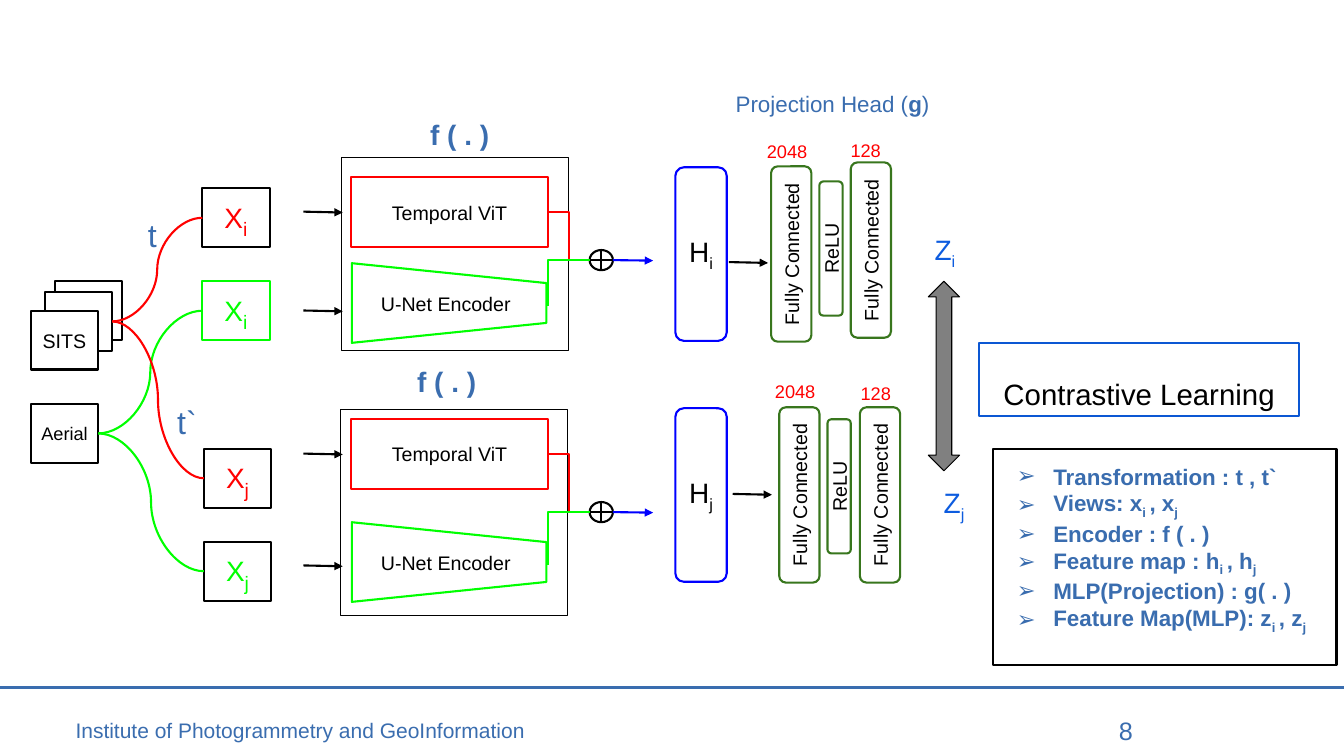
from lxml.etree import SubElement
from pptx import Presentation
from pptx.dml.color import RGBColor
from pptx.enum.shapes import MSO_CONNECTOR, MSO_SHAPE
from pptx.enum.text import MSO_ANCHOR, MSO_AUTO_SIZE, PP_ALIGN
from pptx.oxml.ns import qn
from pptx.util import Pt

BLACK = RGBColor(0x00, 0x00, 0x00)
WHITE = RGBColor(0xFF, 0xFF, 0xFF)
RED = RGBColor(0xFF, 0x00, 0x00)
LIME = RGBColor(0x00, 0xFF, 0x00)
BLUE = RGBColor(0x00, 0x00, 0xFF)
GREEN = RGBColor(0x38, 0x76, 0x1D)
GRAY = RGBColor(0x80, 0x80, 0x80)
STEEL = RGBColor(0x3A, 0x6D, 0xAF)
AZURE = RGBColor(0x0C, 0x57, 0xD3)
SKY = RGBColor(0x0D, 0x5C, 0xDF)

LEGEND = [
    "Transformation : t , t`",
    "Views: x_i _, x_j_",
    "Encoder : f ( . )",
    "Feature map : h_i _, h_j_",
    "MLP(Projection) : g( . )",
    "Feature Map(MLP): z_i _, z_j_",
]


def write(para, text, size=14, color=BLACK, bold=False, align=PP_ALIGN.CENTER,
          sub=None, strong=False, space=None):
    """Fill a paragraph; parts between underscores are subscript, or bold if strong."""
    para.alignment = align
    para.space_before = Pt(0)
    if space:
        para.line_spacing = space
    for i, part in enumerate(text.split("_")):
        if not part:
            continue
        run = para.add_run()
        run.text = part
        font = run.font
        font.name, font.size, font.bold = "Arial", Pt(size), bold
        font.color.rgb = color
        if i % 2 and strong:
            font.bold = True
        elif i % 2:
            font.size = Pt(sub or size)
            run._r.get_or_add_rPr().set("baseline", "-25000")


def setup(frame, anchor, pad=7.2, low=None):
    frame.word_wrap = True
    frame.auto_size = MSO_AUTO_SIZE.NONE
    frame.vertical_anchor = anchor
    frame.margin_left = frame.margin_right = frame.margin_top = Pt(pad)
    frame.margin_bottom = Pt(pad if low is None else low)


def label(slide, text, x, y, w, h, pad=7.2, **form):
    box = slide.shapes.add_textbox(Pt(x), Pt(y), Pt(w), Pt(h))
    setup(box.text_frame, MSO_ANCHOR.TOP, pad)
    write(box.text_frame.paragraphs[0], text, **form)


def block(slide, x, y, w, h, line=BLACK, text="", kind=MSO_SHAPE.RECTANGLE,
          fill=WHITE, width=1.5, turn=0, anchor=MSO_ANCHOR.MIDDLE, low=None, **form):
    """Place a shape by its visible frame, also when it is turned by 90 degrees."""
    if turn:
        x, y, w, h = x + (w - h) / 2, y + (h - w) / 2, h, w
    shape = slide.shapes.add_shape(kind, Pt(x), Pt(y), Pt(w), Pt(h))
    shape.rotation = turn
    shape.shadow.inherit = False
    shape.fill.solid()
    shape.fill.fore_color.rgb = fill
    shape.line.color.rgb = line
    shape.line.width = Pt(width)
    if text:
        setup(shape.text_frame, anchor, low=low)
        write(shape.text_frame.paragraphs[0], text, **form)
    return shape


def link(slide, x1, y1, x2, y2, color=BLACK, kind=MSO_CONNECTOR.STRAIGHT,
         width=1.5, head=False):
    line = slide.shapes.add_connector(kind, Pt(x1), Pt(y1), Pt(x2), Pt(y2))
    line.line.color.rgb = color
    line.line.width = Pt(width)
    if head:
        SubElement(line.line._get_or_add_ln(), qn("a:tailEnd"), type="triangle")
    SubElement(line.element.spPr, qn("a:effectLst"))
    return line


def curve(slide, start, end, color):
    line = link(slide, 0, 0, 10, 10, color, MSO_CONNECTOR.CURVE)
    line.begin_connect(start, 3)
    line.end_connect(end, 1)


def corner(slide, x1, y1, x2, y2, color):
    """Line that goes up from its start, then right to its end."""
    w, h = y1 - y2, x2 - x1
    x, y = (x1 + x2 - w) / 2, (y1 + y2 - h) / 2
    line = link(slide, x, y, x + w, y + h, color, MSO_CONNECTOR.ELBOW)
    line.element.spPr.find(qn("a:prstGeom")).set("prst", "bentConnector2")
    line.element.spPr.find(qn("a:xfrm")).set("rot", "16200000")


def legend(slide):
    slide.shapes.title.element.getparent().remove(slide.shapes.title.element)
    body = slide.placeholders[1]
    body.left, body.top, body.width, body.height = Pt(709.2), Pt(320.4), Pt(245.5), Pt(154.8)
    body.fill.solid()
    body.fill.fore_color.rgb = WHITE
    body.line.color.rgb = BLACK
    body.line.width = Pt(1.5)
    frame = body.text_frame
    setup(frame, MSO_ANCHOR.TOP)
    for i, text in enumerate(LEGEND):
        para = frame.add_paragraph() if i else frame.paragraphs[0]
        props = para._p.get_or_add_pPr()
        props.set("marL", str(Pt(36)))
        props.set("indent", str(Pt(-26)))
        tint = SubElement(props, qn("a:buClr"))
        SubElement(tint, qn("a:srgbClr"), val=str(STEEL))
        SubElement(props, qn("a:buFont"), typeface="Arial")
        SubElement(props, qn("a:buChar"), char="➢")
        write(para, text, size=16, color=STEEL, bold=True, align=PP_ALIGN.LEFT,
              space=1 if i else 1.15)


def inputs(slide):
    views = [block(slide, x, y, 48.2, 42, line, f"X_{name}_", size=20, sub=24, color=color)
             for x, y, line, name, color in (
                 (144.5, 134.6, BLACK, "i", RED), (144.5, 201, LIME, "i", LIME),
                 (145.6, 320.6, BLACK, "j", RED), (145.6, 387, BLACK, "j", LIME))]
    sheets = [block(slide, x, y, 48.2, 42, text=text)
              for x, y, text in ((39.2, 201, ""), (31.9, 208.6, ""), (22, 222, "SITS"))]
    aerial = block(slide, 22, 288.6, 48.2, 42, text="Aerial", size=13)
    for i, view in enumerate(views):
        curve(slide, aerial if i % 2 else sheets[1], view, LIME if i % 2 else RED)
    for text, x, y in (("t", 98.6, 146.9), ("t`", 119.5, 280)):
        label(slide, text, x, y, 30, 16.6, size=23, color=STEEL, align=PP_ALIGN.LEFT)


def encoder(slide, x, top, high, vit, net, hub, title, entry):
    """Framed pair of encoders whose outputs meet in a sum sign."""
    block(slide, x, top, 162, high, width=0.75)
    label(slide, "f ( . )", *title, 60.5, 36.7, size=20, color=STEEL, bold=True,
          align=PP_ALIGN.LEFT, space=1.15)
    view = block(slide, 250.6, vit, 141.1, 49.7, RED, "Temporal ViT")
    block(slide, 421.2, hub - 7.2, 16.6, 14.4, kind=MSO_SHAPE.FLOWCHART_OR)
    bend = link(slide, 391.7, vit + 24.8, 421.2, hub, RED, MSO_CONNECTOR.ELBOW)
    bend.begin_connect(view, 3)
    corner(slide, 391.3, net + 2, 421.2, hub, LIME)
    link(slide, 437.8, hub, 466.5, hub + 0.4, BLUE, head=True)
    block(slide, 251.3, net - 28.4, 139, 56.9, LIME, kind=MSO_SHAPE.TRAPEZOID, turn=90)
    label(slide, "U-Net Encoder", 262, net - 15, 113, 26)
    for y in entry:
        link(slide, 216.7, y, 244.8, y + 0.6, head=True)


def project(slide, name, top, arrow, layers, sizes):
    """Feature vector, then the layers of the projection head."""
    block(slide, 482.4, top, 36.7, 124, BLUE, f"H_{name}_",
          kind=MSO_SHAPE.ROUNDED_RECTANGLE, size=20)
    x, y = arrow
    link(slide, x, y, x + 28, y + 0.6, head=True)
    for text, mid, y, w, h in layers:
        block(slide, mid - w / 2, y - h / 2, w, h, GREEN, text,
              kind=MSO_SHAPE.ROUNDED_RECTANGLE, turn=270)
    for text, x, y in sizes:
        label(slide, text, x, y, 48.2, 23.8, size=13, color=RED, align=PP_ALIGN.LEFT)


def contrast(slide):
    block(slide, 663.1, 200.9, 22.3, 135.4, kind=MSO_SHAPE.UP_DOWN_ARROW,
          fill=GRAY, width=0.75)
    for text, x, y in (("Z_i_", 656.6, 159.1), ("Z_j_", 663.1, 339.8)):
        label(slide, text, x, y, 36.7, 14.4, size=20, color=SKY)
    block(slide, 699.1, 244.8, 229, 52.6, AZURE, "Contrastive Learning", size=21,
          anchor=MSO_ANCHOR.BOTTOM, low=3.6)


def footer(slide):
    link(slide, 0, 491, 960, 491, STEEL, width=2)
    label(slide, "Institute of Photogrammetry and GeoInformation", 54, 512.6, 329, 18,
          pad=0, size=15, color=STEEL, align=PP_ALIGN.LEFT)
    label(slide, "8", 689, 507.6, 123.8, 28.8, pad=3.6, size=18, color=STEEL,
          align=PP_ALIGN.RIGHT)


def main():
    deck = Presentation()
    deck.slide_width, deck.slide_height = Pt(960), Pt(540)
    slide = deck.slides.add_slide(deck.slide_layouts[1])
    legend(slide)
    footer(slide)
    inputs(slide)

    # Upper and lower encoder branch
    encoder(slide, 244, 112.3, 138.4, 126.7, 216.4, 185.8, (300.2, 73.4), (151.2, 221.8))
    encoder(slide, 243.4, 292.3, 147.6, 299.5, 401.4, 365.8, (290.9, 249.8), (324, 403.9))

    # Projection heads
    full, relu = "Fully Connected", "ReLU"
    label(slide, "Projection Head (_g_)", 518.4, 56.9, 162, 36.7, size=16, color=STEEL,
          align=PP_ALIGN.LEFT, strong=True)
    project(slide, "i", 119.5, (520.6, 187.2),
            ((full, 565.2, 181.4, 28.8, 125.3), (relu, 593.6, 177.5, 16.6, 95.8),
             (full, 622.1, 178.6, 28.8, 125.3)),
            (("2048", 540.7, 92.9), ("128", 600.5, 92.2)))
    project(slide, "j", 291.6, (523.4, 352.8),
            ((full, 571, 353.5, 28.8, 125.3), (relu, 599.4, 347.4, 16.6, 95.8),
             (full, 628.6, 353.5, 28.8, 125.3)),
            (("2048", 546.5, 264.2), ("128", 607.7, 265.7)))

    contrast(slide)
    deck.save("out.pptx")


if __name__ == "__main__":
    main()
